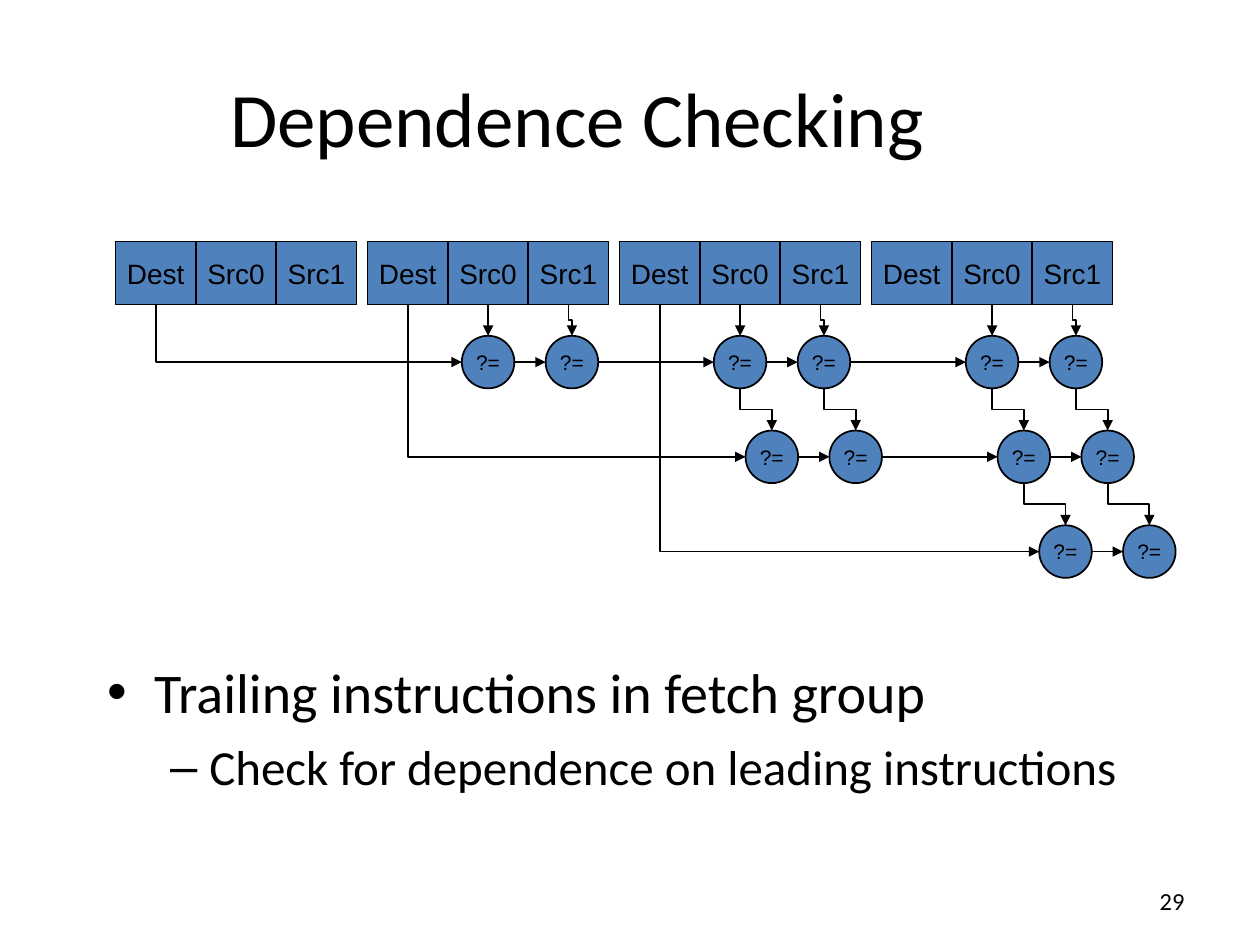
import lxml.etree
import pptx
import pptx.dml.color
import pptx.enum.shapes
import pptx.enum.text
import pptx.oxml.ns
import pptx.util

Cm = pptx.util.Cm
Pt = pptx.util.Pt
qn = pptx.oxml.ns.qn
color = pptx.dml.color.RGBColor.from_string
SHAPE = pptx.enum.shapes.MSO_SHAPE
ROUTE = pptx.enum.shapes.MSO_CONNECTOR
ALIGN = pptx.enum.text.PP_ALIGN
ANCHOR = pptx.enum.text.MSO_ANCHOR
BLACK = "000000"


def write(paragraph, text, align, font_name, size):
    paragraph.alignment = align
    run = paragraph.add_run()
    run.text = text
    for attribute, value in {"name": font_name, "size": Pt(size)}.items():
        setattr(run.font, attribute, value)
    run.font.color.rgb = color(BLACK)


prs = pptx.Presentation()
prs.slide_width, prs.slide_height = Cm(25.4), Cm(19.05)
slide = prs.slides.add_slide(prs.slide_layouts[6])

frames = []
for left, top, width, height, anchor in [
    (1.27, 0.76, 20.75, 3.18, ANCHOR.MIDDLE),
    (1.91, 13.13, 21.59, 3.81, ANCHOR.TOP),
    (21.16, 17.65, 2.97, 1.02, ANCHOR.MIDDLE),
]:
    frame = slide.shapes.add_textbox(Cm(left), Cm(top), Cm(width), Cm(height)).text_frame
    for attribute, value in {"word_wrap": True, "vertical_anchor": anchor}.items():
        setattr(frame, attribute, value)
    frames.append(frame)
title, points, page_number = frames
write(title.paragraphs[0], "Dependence Checking", ALIGN.CENTER, "Calibri", 44)
write(page_number.paragraphs[0], "29", ALIGN.RIGHT, "Calibri", 14)

for level, (text, size, bullet, margin, hanging) in enumerate([
    ("Trailing instructions in fetch group", 32, "•", 0.95, 0.95),
    ("Check for dependence on leading instructions", 28, "–", 2.06, 0.79),
]):
    point = points.add_paragraph() if level else points.paragraphs[0]
    point.level = level
    properties = point._p.get_or_add_pPr()
    properties.set("marL", str(Cm(margin)))
    properties.set("indent", str(-Cm(hanging)))
    bullet_color = lxml.etree.SubElement(properties, qn("a:buClr"))
    lxml.etree.SubElement(bullet_color, qn("a:srgbClr"), val=BLACK)
    lxml.etree.SubElement(properties, qn("a:buFont"), typeface="Arial")
    lxml.etree.SubElement(properties, qn("a:buChar"), char=bullet)
    if level:
        point.space_before = Pt(7)
    write(point, text, ALIGN.LEFT, "Calibri", size)

first_left, field_top, field_width, field_height = 2.33, 4.87, 1.62, 1.27
group_pitch, pair_pitch = 5.08, 1.69
diameter, first_row, row_pitch = 1.06, 7.3, 1.91
row_shifts = [0, 0.64, 1.48]
radius = diameter / 2
field_bottom = field_top + field_height

nodes = []
field_centers = {}
for group in range(4):
    instruction = slide.shapes.add_group_shape().shapes
    for field, label in enumerate(["Dest", "Src0", "Src1"]):
        left = first_left + group * group_pitch + field * field_width
        field_centers[group, field] = left + field_width / 2
        nodes.append((instruction, SHAPE.RECTANGLE, left, field_top,
                      field_width, field_height, label, 16))

links = []
for row, shift in enumerate(row_shifts):
    y = first_row + row * row_pitch
    source_x, source_y = field_centers[row, 0], field_bottom
    route = "bentConnector2"
    for group in range(row + 1, 4):
        for source in range(2):
            x = field_centers[group, 1] + source * pair_pitch + shift
            nodes.append((slide.shapes, SHAPE.OVAL, x - radius, y - radius,
                          diameter, diameter, "?=", 12))
            links.append((route, source_x, source_y, x - radius, y))
            source_x, source_y, route = x + radius, y, "line"
            if row:
                above_x = x - shift + row_shifts[row - 1]
                above_y = y - row_pitch + radius
            else:
                above_x, above_y = field_centers[group, source + 1], field_bottom
            drop = "bentConnector3" if row or source else "line"
            links.append((drop, above_x, above_y, x, y - radius))

for shapes, kind, left, top, width, height, label, size in nodes:
    node = shapes.add_shape(kind, Cm(left), Cm(top), Cm(width), Cm(height))
    node.shadow.inherit = False
    node.fill.solid()
    node.fill.fore_color.rgb = color("4F81BD")
    node.line.color.rgb = color(BLACK)
    node.line.width = Pt(1)
    for attribute, value in {"word_wrap": False, "vertical_anchor": ANCHOR.MIDDLE}.items():
        setattr(node.text_frame, attribute, value)
    write(node.text_frame.paragraphs[0], label, ALIGN.CENTER, "Arial", size)

for route, x1, y1, x2, y2 in links:
    bent = route != "line"
    if bent:
        middle_x, middle_y = (x1 + x2) / 2, (y1 + y2) / 2
        half_width, half_height = (y2 - y1) / 2, (x2 - x1) / 2
        x1, x2 = middle_x + half_width, middle_x - half_width
        y1, y2 = middle_y - half_height, middle_y + half_height
    link = slide.shapes.add_connector(
        ROUTE.ELBOW if bent else ROUTE.STRAIGHT, Cm(x1), Cm(y1), Cm(x2), Cm(y2))
    link.line.color.rgb = color(BLACK)
    link.line.width = Pt(1)
    properties = link._element.spPr
    if bent:
        properties.find(qn("a:xfrm")).set("rot", "16200000")
        properties.find(qn("a:prstGeom")).set("prst", route)
    lxml.etree.SubElement(properties.find(qn("a:ln")), qn("a:tailEnd"), type="triangle")
    lxml.etree.SubElement(properties, qn("a:effectLst"))

prs.save("out.pptx")
